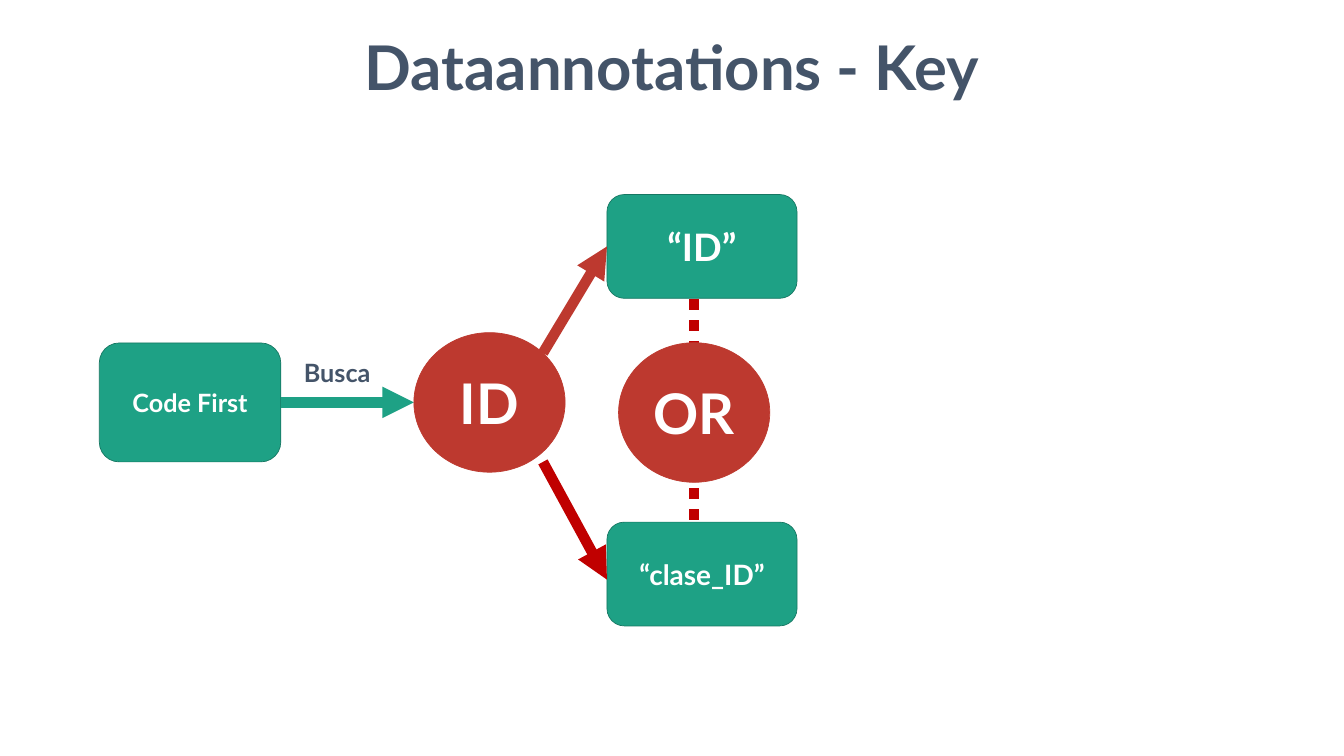
from pptx import Presentation
from pptx.dml.color import RGBColor
from pptx.enum.dml import MSO_LINE
from pptx.enum.shapes import MSO_CONNECTOR, MSO_SHAPE
from pptx.enum.text import MSO_ANCHOR, MSO_AUTO_SIZE, PP_ALIGN
from pptx.oxml.ns import qn
from pptx.util import Inches, Pt

STRAIGHT = MSO_CONNECTOR.STRAIGHT
OVAL, ROUNDED = MSO_SHAPE.OVAL, MSO_SHAPE.ROUNDED_RECTANGLE
CENTER, MIDDLE = PP_ALIGN.CENTER, MSO_ANCHOR.MIDDLE
DOTTED = MSO_LINE.ROUND_DOT  # written as sysDot

FONT = "Lato"
WHITE = RGBColor(0xFF, 0xFF, 0xFF)
SLATE = RGBColor(0x44, 0x54, 0x69)
GREEN = RGBColor(0x1E, 0xA1, 0x85)
DARK_GREEN = RGBColor(0x16, 0x77, 0x62)
BRICK = RGBColor(0xBD, 0x39, 0x2F)
RED = RGBColor(0xC0, 0x00, 0x00)


def write(frame, text, size, color, align=None):
    paragraph = frame.paragraphs[0]
    paragraph.alignment = align
    run = paragraph.add_run()
    run.text = text
    run.font.name = FONT
    run.font.size = Pt(size)
    run.font.bold = True
    run.font.color.rgb = color


def add_label(slide, box, text, size, align=None, wrap=True):
    frame = slide.shapes.add_textbox(*map(Inches, box)).text_frame
    frame.word_wrap = wrap
    frame.auto_size = MSO_AUTO_SIZE.SHAPE_TO_FIT_TEXT
    write(frame, text, size, SLATE, align)


def add_node(slide, kind, box, text, size, fill, outline):
    node = slide.shapes.add_shape(kind, *map(Inches, box))
    node.shadow.inherit = False
    node.fill.solid()
    node.fill.fore_color.rgb = fill
    node.line.color.rgb = outline
    node.line.width = Pt(1)
    node.text_frame.word_wrap = True
    node.text_frame.vertical_anchor = MIDDLE
    write(node.text_frame, text, size, WHITE, CENTER)


def add_link(slide, start, end, color, dash=None):
    """Draw a dashed line, or an arrow when no dash is given."""
    link = slide.shapes.add_connector(STRAIGHT, *map(Inches, start + end))
    link.line.color.rgb = color
    link.line.width = Pt(15)
    if dash:
        link.line.dash_style = dash
    else:
        line = link.line._get_or_add_ln()
        line.append(line.makeelement(qn("a:tailEnd"), {"type": "triangle"}))
    properties = link._element.spPr
    properties.append(properties.makeelement(qn("a:effectLst"), {}))


def add_key_diagram(slide, left, top, width, height):
    right, bottom = left + width, top + height
    option_width, option_height = 3.77, 2.06
    circle_width, circle_height = 3, 2.77
    option_left = right - option_width
    id_left, id_top = left + 6.24, top + 2.74
    or_left, or_top = left + 10.3, top + 2.94
    source_width, source_height = 3.6, 2.36
    axis = id_top + circle_height / 2
    or_axis = or_left + circle_width / 2

    # Dotted line joining the two options, behind the OR circle
    add_link(slide, (or_axis, top + option_height + 0.02),
             (or_axis, bottom - option_height - 0.03), RED, DOTTED)

    # Code First searches for an ID
    add_node(slide, ROUNDED,
             (left, axis - source_height / 2, source_width, source_height),
             "Code First", 36, GREEN, DARK_GREEN)
    add_link(slide, (left + source_width, axis), (id_left, axis), GREEN)
    add_label(slide, (left + 3.96, axis - 0.94, 1.57, 0.71), "Busca", 36, wrap=False)

    # ID and OR circles
    for text, x, y in (("ID", id_left, id_top), ("OR", or_left, or_top)):
        add_node(slide, OVAL, (x, y, circle_width, circle_height),
                 text, 80, BRICK, BRICK)

    # The two accepted key names, each with its arrow from the ID circle
    branch_x = id_left + 2.56
    options = (
        ("“ID”", 54, top, axis - 0.98, top + option_height / 2, BRICK),
        ("“clase_ID”", 40, bottom - option_height, axis + 1.18, bottom - 0.92, RED),
    )
    for text, size, y, branch_y, tip_y, color in options:
        add_node(slide, ROUNDED, (option_left, y, option_width, option_height),
                 text, size, GREEN, DARK_GREEN)
        add_link(slide, (branch_x, branch_y), (option_left, tip_y), color)


def main():
    deck = Presentation()
    deck.slide_width, deck.slide_height = Inches(26.66), Inches(15)
    slide = deck.slides.add_slide(deck.slide_layouts[6])
    add_label(slide, (6.57, 0.53, 13.52, 1.58), "Dataannotations - Key", 88, CENTER)
    add_key_diagram(slide, 1.97, 3.86, 13.84, 8.56)
    deck.save("out.pptx")


if __name__ == "__main__":
    main()
